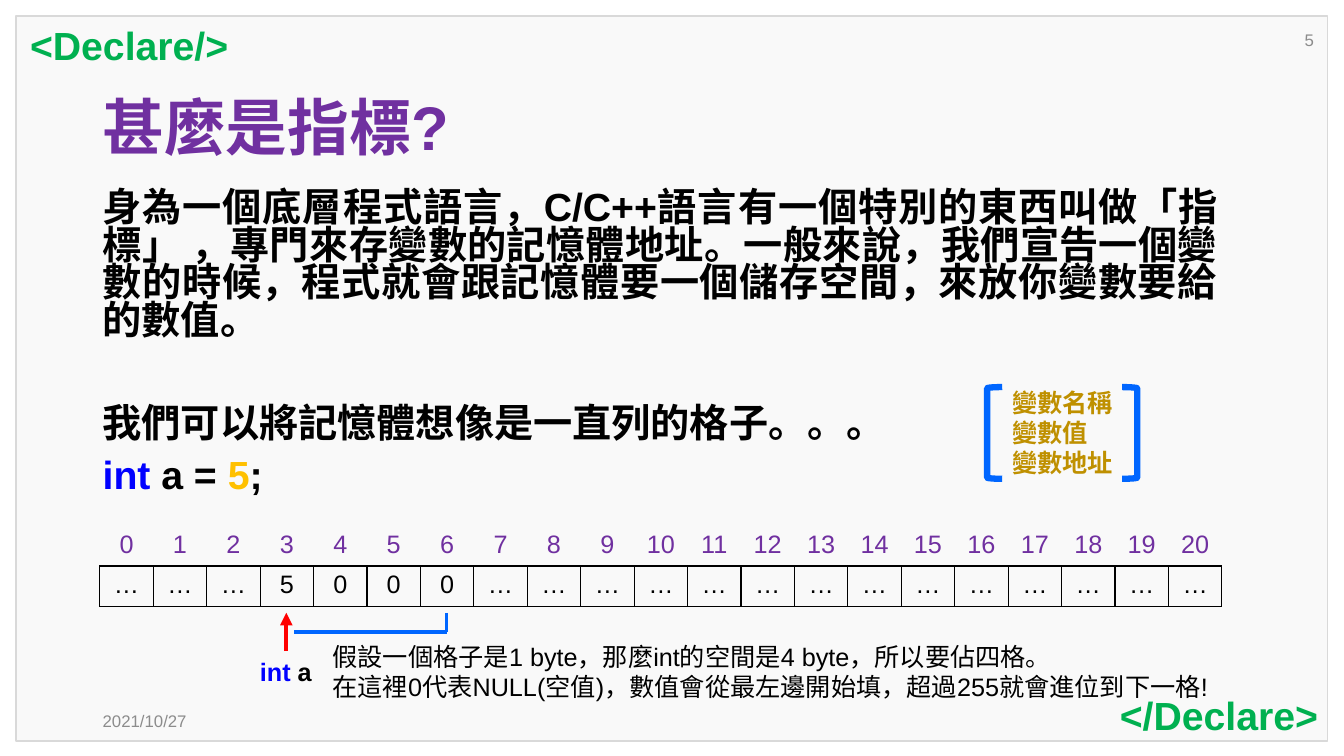
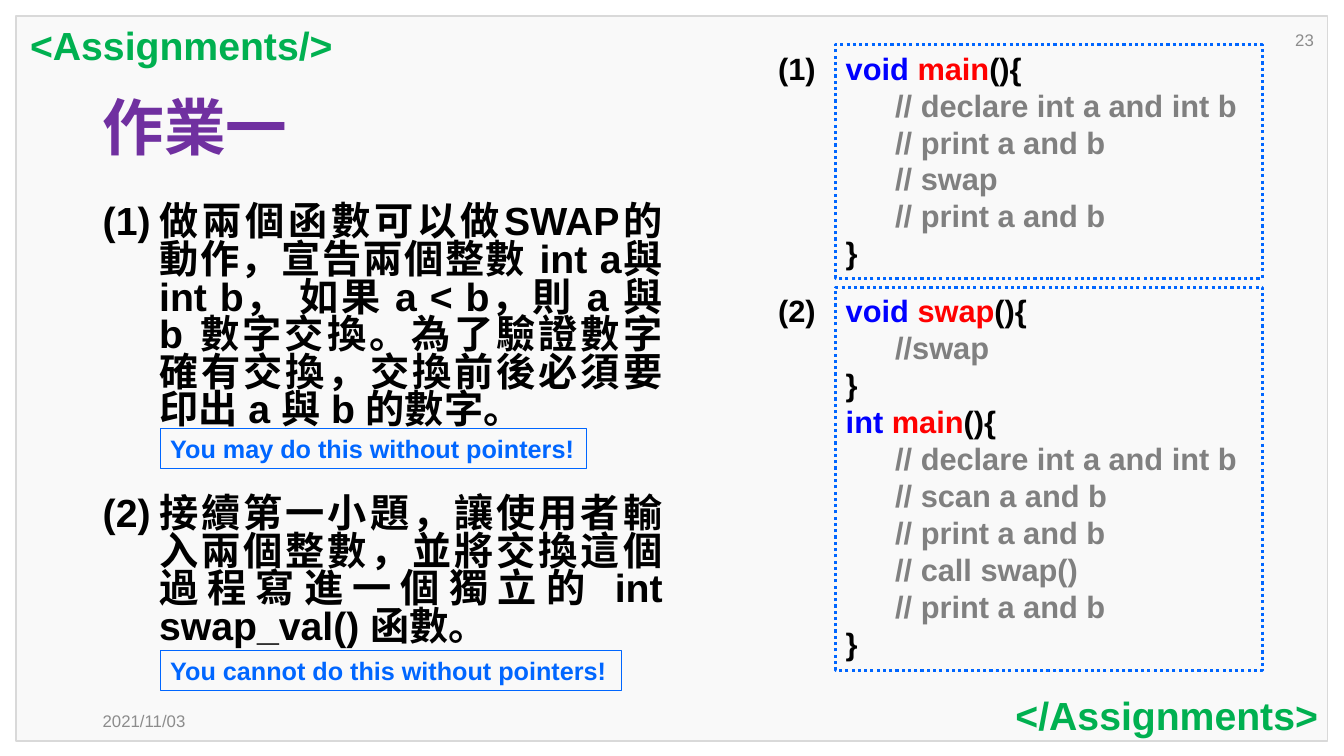
from dataclasses import dataclass

from lxml import etree
from pptx import Presentation
from pptx.dml.color import RGBColor
from pptx.enum.dml import MSO_LINE
from pptx.enum.shapes import MSO_CONNECTOR, MSO_SHAPE
from pptx.enum.text import MSO_ANCHOR, PP_ALIGN
from pptx.oxml.ns import qn
from pptx.util import Inches, Pt

LEFT, RIGHT = PP_ALIGN.LEFT, PP_ALIGN.RIGHT
CENTER, JUSTIFY = PP_ALIGN.CENTER, PP_ALIGN.JUSTIFY
TOP, MIDDLE = MSO_ANCHOR.TOP, MSO_ANCHOR.MIDDLE
RECTANGLE = MSO_SHAPE.RECTANGLE
LEFT_BRACKET, RIGHT_BRACKET = MSO_SHAPE.LEFT_BRACKET, MSO_SHAPE.RIGHT_BRACKET
STRAIGHT = MSO_CONNECTOR.STRAIGHT
DOTTED = MSO_LINE.ROUND_DOT

FONT = "Arial"
CJK_FONT = "Noto Sans CJK SC"
PLAIN_TABLE = "{2D5ABB26-0587-4C30-8999-92F81FD0307C}"
COLORS = {
    "panel": "F9F9F9",
    "edge": "D9D9D9",
    "muted": "8C8C8C",
    "title": "7030A0",
    "tag": "00B050",
    "text": "000000",
    "keyword": "0000FF",
    "function": "FF0000",
    "comment": "808080",
    "number": "FFC000",
    "gold": "BF9000",
    "accent": "0066FF",
}


@dataclass(frozen=True)
class Span:
    text: str
    color: str = "text"
    font: str = FONT


@dataclass(frozen=True)
class Para:
    spans: tuple[Span, ...]
    align: PP_ALIGN = LEFT
    line_spacing: float = 1.0
    before: float = 0
    margin: float = 0
    numbered: bool = False


@dataclass(frozen=True)
class Area:
    left: float
    top: float
    width: float
    height: float

    def lengths(self) -> list[int]:
        return [Inches(v) for v in (self.left, self.top, self.width, self.height)]


@dataclass(frozen=True)
class CodeBlock:
    label: str
    top: float
    height: float
    lines: tuple[Para, ...]


@dataclass(frozen=True)
class Hint:
    text: str
    top: float
    width: float


def rgb(color: str) -> RGBColor:
    return RGBColor.from_string(COLORS[color])


def line(text: str, color: str = "text", **options) -> Para:
    return Para((Span(text, color),), **options)


def comment(text: str) -> Para:
    return line(text, "comment", margin=0.49)


def signature(kind: str, name: str) -> Para:
    return Para((Span(f"{kind} ", "keyword"), Span(name, "function"), Span("(){")))


def set_font(font, name: str) -> None:
    font.name = name
    etree.SubElement(font._rPr, qn("a:ea")).set("typeface", name)


def write(frame, paras, size: float, bold: bool = False, anchor=TOP) -> None:
    frame.word_wrap = True
    frame.vertical_anchor = anchor
    for index, para in enumerate(paras):
        paragraph = frame.paragraphs[0] if index == 0 else frame.add_paragraph()
        paragraph.alignment = para.align
        paragraph.line_spacing = para.line_spacing
        paragraph.space_before = Pt(para.before)
        properties = paragraph._p.get_or_add_pPr()
        if para.margin:
            hanging = -para.margin if para.numbered else 0
            properties.set("marL", str(Inches(para.margin)))
            properties.set("indent", str(Inches(hanging)))
        if para.numbered:
            etree.SubElement(properties, qn("a:buFont")).set("typeface", CJK_FONT)
            etree.SubElement(properties, qn("a:buAutoNum")).set("type", "arabicParenBoth")
        paragraph.font.size = Pt(size)
        paragraph.font.bold = bold
        paragraph.font.color.rgb = rgb(para.spans[0].color)
        set_font(paragraph.font, FONT)
        for span in para.spans:
            run = paragraph.add_run()
            run.text = span.text
            if span.color != para.spans[0].color:
                run.font.color.rgb = rgb(span.color)
            if span.font != FONT:
                set_font(run.font, span.font)


def add_text(page, area: Area, paras, size: float, bold: bool = False, anchor=TOP) -> None:
    box = page.shapes.add_textbox(*area.lengths())
    write(box.text_frame, paras, size, bold, anchor)


def add_outline(page, area: Area, color: str, width: float, kind=RECTANGLE, fill: str = ""):
    shape = page.shapes.add_shape(kind, *area.lengths())
    shape.shadow.inherit = False
    if fill:
        shape.fill.solid()
        shape.fill.fore_color.rgb = rgb(fill)
    else:
        shape.fill.background()
    shape.line.color.rgb = rgb(color)
    shape.line.width = Pt(width)
    return shape


def add_line(page, start, end, color: str, width: float, arrow: bool = False) -> None:
    points = [Inches(value) for value in (*start, *end)]
    connector = page.shapes.add_connector(STRAIGHT, *points)
    connector.line.color.rgb = rgb(color)
    connector.line.width = Pt(width)
    if arrow:
        etree.SubElement(connector.line._get_or_add_ln(), qn("a:tailEnd")).set("type", "triangle")
    etree.SubElement(connector._element.spPr, qn("a:effectLst"))


def add_page(deck, section: str, title: str, date: str, number: int):
    page = deck.slides.add_slide(deck.slide_layouts[6])
    add_outline(page, Area(0.16, 0.16, 13.01, 7.19), "edge", 1, fill="panel")
    add_text(page, Area(0.92, 6.95, 1.5, 0.4), [line(date, "muted")], 12, anchor=MIDDLE)
    add_text(page, Area(12.13, 0.2, 1, 0.4), [line(str(number), "muted", align=RIGHT)], 12,
             anchor=MIDDLE)
    add_text(page, Area(0.92, 0.74, 10.74, 1.11), [line(title, "title", line_spacing=0.9)], 44,
             True, MIDDLE)
    add_text(page, Area(0.2, 0.16, 5, 0.57), [line(f"<{section}/>", "tag")], 28, True)
    add_text(page, Area(8.17, 6.81, 5, 0.57), [line(f"</{section}>", "tag", align=RIGHT)], 28, True)
    return page


def border_cell(cell) -> None:
    properties = cell._tc.get_or_add_tcPr()
    for index, side in enumerate(("a:lnL", "a:lnR", "a:lnT", "a:lnB")):
        edge = etree.Element(qn(side), w=str(Pt(1)))
        fill = etree.SubElement(edge, qn("a:solidFill"))
        etree.SubElement(fill, qn("a:srgbClr")).set("val", COLORS["text"])
        properties.insert(index, edge)


def add_memory_table(page, values: list[str]) -> None:
    area = Area(0.99, 5.21, 11.13, 0.81)
    table = page.shapes.add_table(2, len(values), *area.lengths()).table
    table.first_row = False
    table.horz_banding = False
    table._tbl.tblPr.find(qn("a:tableStyleId")).text = PLAIN_TABLE
    for column in table.columns:
        column.width = Inches(area.width / len(values))
    for index, value in enumerate(values):
        for row, (text, color) in enumerate(((str(index), "title"), (value, "text"))):
            cell = table.cell(row, index)
            cell.fill.background()
            write(cell.text_frame, [line(text, color, align=CENTER)], 18)
        border_cell(table.cell(1, index))


def add_pointer_page(deck) -> None:
    page = add_page(deck, "Declare", "甚麼是指標?", "2021/10/27", 5)
    intro = (
        Span("身為一個底層程式語言，C/C++語言有一個特別的東西叫做"),
        Span("「", font=CJK_FONT),
        Span("指標"),
        Span("」 ", font=CJK_FONT),
        Span("，專門來存變數的記憶體地址。一般來說，我們宣告一個變數的時候，"
             "程式就會跟記憶體要一個儲存空間，來放你變數要給的數值。"),
    )
    declaration = (Span("int", "keyword"), Span(" a = "), Span("5", "number"), Span(";"))
    add_text(page, Area(0.92, 1.85, 11.26, 3.36), [
        Para(intro, JUSTIFY, 0.8, 10),
        line("我們可以將記憶體想像是一直列的格子。。。", line_spacing=0.8, before=47),
        Para(declaration, LEFT, 0.8, 10),
    ], 28, True)

    add_memory_table(page, ["…"] * 3 + ["5", "0", "0", "0"] + ["…"] * 14)
    add_line(page, (2.84, 6.46), (2.84, 6.08), "function", 3, arrow=True)
    add_text(page, Area(2.48, 6.46, 0.9, 0.4),
             [Para((Span("int", "keyword"), Span(" a")))], 18, True)
    corner = (4.43, 6.27)
    for start in ((2.92, 6.27), (4.43, 6.08)):
        add_line(page, start, corner, "accent", 2.25)
    add_text(page, Area(3.2, 6.31, 9.15, 0.71), [
        line("假設一個格子是1 byte，那麼int的空間是4 byte，所以要佔四格。"),
        line("在這裡0代表NULL(空值)，數值會從最左邊開始填，超過255就會進位到下一格!"),
    ], 18)

    for left, kind in ((9.79, LEFT_BRACKET), (11.13, RIGHT_BRACKET)):
        add_outline(page, Area(left, 3.84, 0.15, 0.91), "accent", 4.5, kind)
    parts = ("變數名稱", "變數值", "變數地址")
    add_text(page, Area(9.94, 3.79, 1.3, 1.01), [line(part, "gold") for part in parts], 18, True)


def add_assignment_page(deck) -> None:
    page = add_page(deck, "Assignments", "作業一", "2021/11/03", 23)
    tasks = (
        ("做兩個函數可以做SWAP的動作，宣告兩個整數 int a與int b， 如果 a < b，則 a 與 b 數字交換。"
         "為了驗證數字確有交換，交換前後必須要印出 a 與 b 的數字。", 10),
        ("接續第一小題，讓使用者輸入兩個整數，並將交換這個過程寫進一個獨立的 int swap_val() 函數。", 47),
    )
    add_text(page, Area(0.92, 1.99, 5.75, 4.58), [
        line(text, align=JUSTIFY, line_spacing=0.8, before=before, margin=0.56, numbered=True)
        for text, before in tasks
    ], 28, True)

    declare = comment("// declare int a and int b")
    show = comment("// print a and b")
    end = line("}")
    blocks = (
        CodeBlock("(1)", 0.44, 2.32, (
            signature("void", "main"), declare, show, comment("// swap"), show, end)),
        CodeBlock("(2)", 2.85, 3.8, (
            signature("void", "swap"), comment("//swap"), end,
            signature("int", "main"), declare, comment("// scan a and b"), show,
            comment("// call swap()"), show, end)),
    )
    for block in blocks:
        frame = add_outline(page, Area(8.29, block.top, 4.23, block.height), "accent", 2.25)
        frame.line.dash_style = DOTTED
        write(frame.text_frame, block.lines, 22, True)
        add_text(page, Area(7.62, block.top, 0.8, 0.47), [line(block.label)], 22, True)

    hints = (
        Hint("You may do this without pointers!", 4.25, 4.23),
        Hint("You cannot do this without pointers!", 6.45, 4.57),
    )
    for hint in hints:
        frame = add_outline(page, Area(1.59, hint.top, hint.width, 0.4), "accent", 0.75)
        write(frame.text_frame, [line(hint.text, "accent")], 18, True)


def main() -> None:
    deck = Presentation()
    deck.slide_width = Inches(13.33)
    deck.slide_height = Inches(7.5)
    add_pointer_page(deck)
    add_assignment_page(deck)
    deck.save("out.pptx")


if __name__ == "__main__":
    main()
